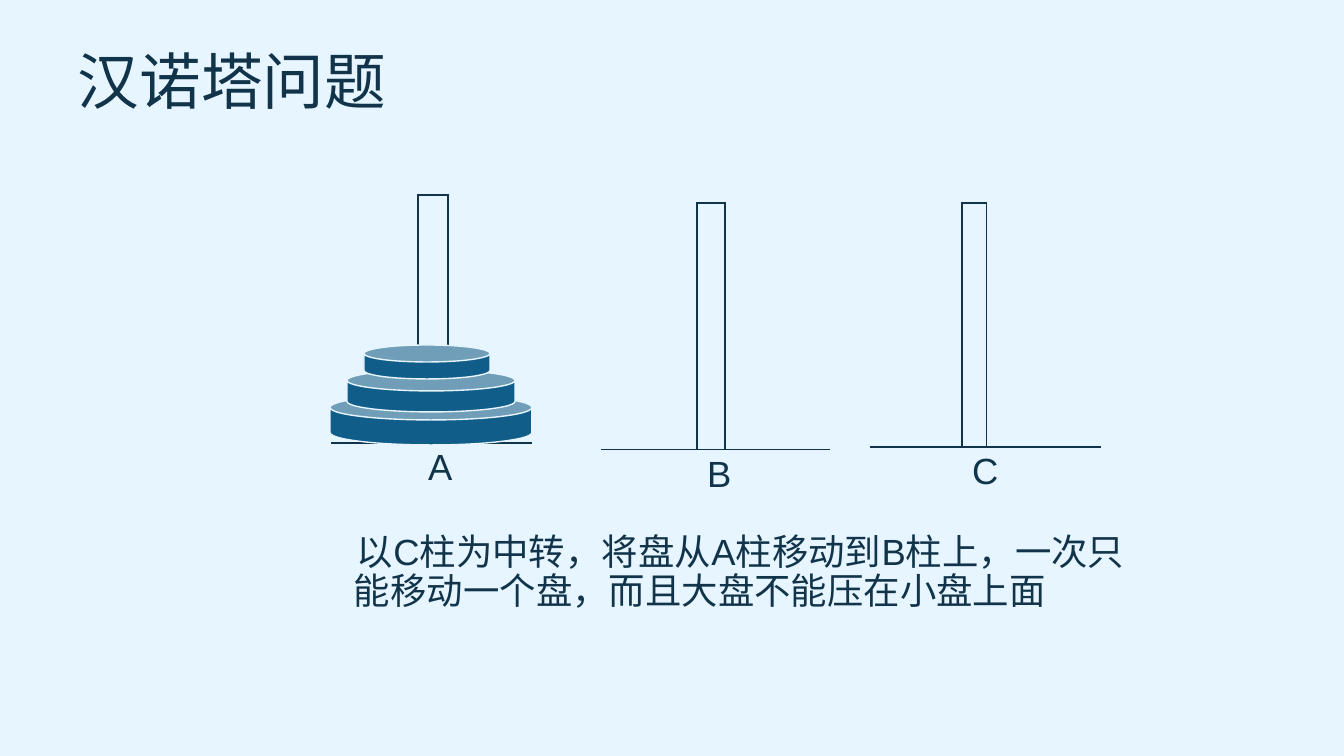
from pptx import Presentation
from pptx.dml.color import RGBColor
from pptx.enum.shapes import MSO_SHAPE as Shape
from pptx.enum.text import MSO_ANCHOR as Anchor
from pptx.oxml import parse_xml
from pptx.oxml.ns import nsdecls
from pptx.util import Pt

EMU_PER_PX = 12192000 / 1344
INK = RGBColor(0x11, 0x34, 0x4A)
DISK_BLUE = RGBColor(0x11, 0x5D, 0x8A)
PALE_BLUE = RGBColor(0xE6, 0xF5, 0xFF)
PLAIN_TABLE_STYLE = "{2D5ABB26-0587-4C30-8999-92F81FD0307C}"
POLE_ROWS = 4


def px(length):
    return round(length * EMU_PER_PX)


class SlideBuilder:
    def __init__(self, slide):
        self.slide = slide
        background = slide.background.fill
        background.solid()
        background.fore_color.rgb = PALE_BLUE

    def style_text(self, paragraph, size, font_name="Arial"):
        for run in paragraph.runs:
            run.font.size = Pt(size)
            run.font.name = font_name
            run.font.color.rgb = INK

    def text(self, text, left, top, width, height, size, font_name="Arial",
             anchor=Anchor.TOP, margin=0, indent=0):
        box = self.slide.shapes.add_textbox(px(left), px(top), px(width), px(height))
        frame = box.text_frame
        frame.word_wrap = True
        frame.vertical_anchor = anchor
        frame.text = text
        paragraph = frame.paragraphs[0]
        paragraph.line_spacing = 0.9
        properties = paragraph._p.get_or_add_pPr()
        properties.set("marL", str(px(margin)))
        properties.set("indent", str(px(indent)))
        self.style_text(paragraph, size, font_name)

    def borders(self, cell, widths):
        """Draw the sides named in widths (L, R, T, B) and clear the fill."""
        properties = cell._tc.get_or_add_tcPr()
        for side in "LRTB":
            if side in widths:
                properties.append(parse_xml(
                    f'<a:ln{side} {nsdecls("a")} w="{Pt(widths[side])}">'
                    f'<a:solidFill><a:srgbClr val="{INK}"/></a:solidFill></a:ln{side}>'))
        cell.fill.background()

    def peg(self, label, left, top, columns, rows):
        frame = self.slide.shapes.add_table(
            len(rows), len(columns), px(left), px(top), px(sum(columns)), px(sum(rows)))
        table = frame.table
        table.first_row = table.horz_banding = False
        table._tbl.tblPr.find("{*}tableStyleId").text = PLAIN_TABLE_STYLE
        for column, width in zip(table.columns, columns):
            column.width = px(width)
        for row, height in zip(table.rows, rows):
            row.height = px(height)

        # Open space on both sides of the pole
        for column, inner_side in ((0, "R"), (2, "L")):
            space = table.cell(0, column)
            space.merge(table.cell(POLE_ROWS - 1, column))
            self.borders(space, {inner_side: 1, "B": 1})

        # Pole with a thick cap
        for row in range(POLE_ROWS):
            widths = {"L": 1, "R": 1}
            if row == 0:
                widths["T"] = 2.25
            if row == POLE_ROWS - 1:
                widths["B"] = 1
            self.borders(table.cell(row, 1), widths)

        # Base line and label
        for column in range(len(columns)):
            self.borders(table.cell(POLE_ROWS, column), {"T": 1})
        label_frame = table.cell(POLE_ROWS, 1).text_frame
        label_frame.text = label
        self.style_text(label_frame.paragraphs[0], 26)

    def disk(self, left, top, width, height):
        shape = self.slide.shapes.add_shape(
            Shape.CAN, px(left), px(top), px(width), px(height))
        shape.adjustments[0] = 0.5
        shape.shadow.inherit = False
        shape.fill.solid()
        shape.fill.fore_color.rgb = DISK_BLUE
        shape.line.color.rgb = PALE_BLUE
        shape.line.width = Pt(1)


def main():
    presentation = Presentation()
    presentation.slide_width = px(1344)
    presentation.slide_height = px(756)
    builder = SlideBuilder(presentation.slides.add_slide(presentation.slide_layouts[6]))

    # Title
    builder.text("汉诺塔问题", 68, 13, 1109, 143, 44, "Cabin", Anchor.MIDDLE)

    # Pegs
    builder.peg("A", 331, 195, (87, 30, 84), (62, 62, 69, 55, 54))
    builder.peg("B", 601, 203, (96, 28, 105), (64, 64, 64, 55, 55))
    builder.peg("C", 870, 203, (92, 24, 115), (62, 62, 62, 58, 104))

    # Disks, from the largest to the smallest
    for level in range(3):
        builder.disk(330 + 17 * level, 395 - 25 * level,
                     202 - 38 * level + 4 * (level % 2), 50 - 8 * level)

    # Rule of the puzzle
    builder.text("以C柱为中转，将盘从A柱移动到B柱上，一次只能移动一个盘，而且大盘不能压在小盘上面",
                 306, 529, 834, 182, 26, margin=38, indent=3)

    presentation.save("out.pptx")


if __name__ == "__main__":
    main()
